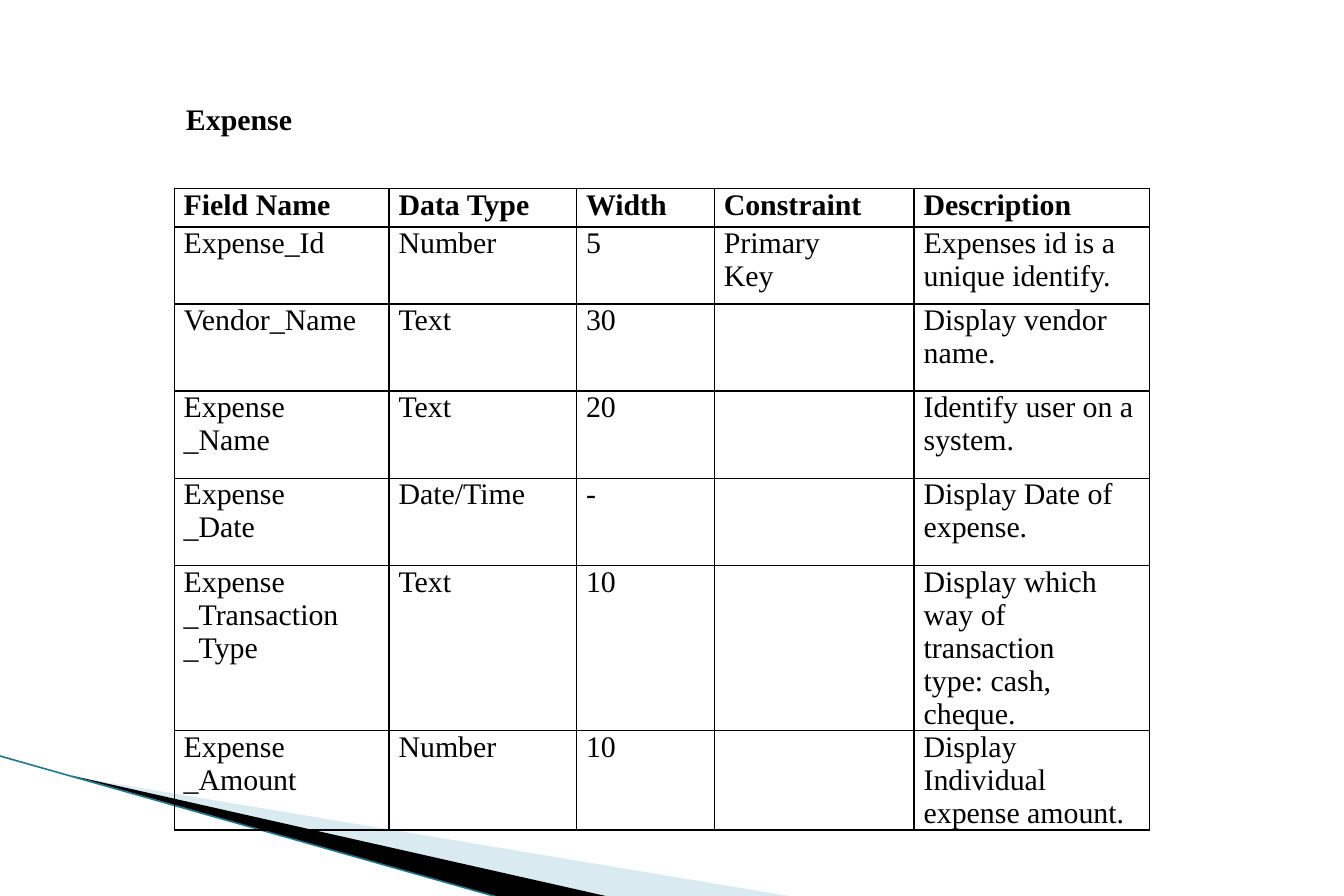
from dataclasses import dataclass

from lxml import etree
from pptx import Presentation
from pptx import util as u
from pptx.dml.color import RGBColor
from pptx.enum import text
from pptx.oxml import ns


@dataclass(frozen=True)
class Theme:
    font: str = "Times New Roman"
    size: float = 18
    ink: str = "000000"
    pale_wave: str = "A0CBDC"
    pale_opacity: int = 40
    edge: str = "1F768F"
    edge_width: float = 0.95
    border_width: float = 1
    cell_inset: float = 5.75


THEME = Theme()

COLUMN_WIDTHS = [129.5, 113, 83, 120.5, 142]
ROW_HEIGHTS = [23, 46.5, 52.5, 52.5, 52.5, 99.5, 59.5]
FIELDS = [
    ("Field Name", "Data Type", "Width", "Constraint", "Description"),
    ("Expense_Id", "Number", "5", "Primary\nKey", "Expenses id is a unique identify."),
    ("Vendor_Name", "Text", "30", "", "Display vendor name."),
    ("Expense\n_Name", "Text", "20", "", "Identify user on a system."),
    ("Expense\n_Date", "Date/Time", "-", "", "Display Date of expense."),
    ("Expense\n_Transaction\n_Type", "Text", "10", "",
     "Display which way of transaction\ntype: cash, cheque."),
    ("Expense\n_Amount", "Number", "10", "", "Display Individual expense amount."),
]


def write(frame, wording, bold=False, size=THEME.size, color=THEME.ink):
    """Fill a text frame, one paragraph to each line of the wording."""
    frame.text = wording
    for paragraph in frame.paragraphs:
        paragraph.alignment = text.PP_ALIGN.LEFT
        font = paragraph.font
        font.name, font.size, font.bold = THEME.font, u.Pt(size), bold
        font.color.rgb = RGBColor.from_string(color)
        for run in paragraph.runs:
            run.font.bold = bold
            run.font.color.rgb = RGBColor.from_string(color)


def border(cell):
    properties = cell._tc.get_or_add_tcPr()
    for position, side in enumerate(("lnL", "lnR", "lnT", "lnB")):
        line = etree.Element(ns.qn(f"a:{side}"), w=str(u.Pt(THEME.border_width)))
        fill = etree.SubElement(line, ns.qn("a:solidFill"))
        etree.SubElement(fill, ns.qn("a:srgbClr"), val=THEME.ink)
        properties.insert(position, line)


def wave(slide, points, color, opacity=100):
    (start_x, start_y), *others = [(u.Pt(x), u.Pt(y)) for x, y in points]
    builder = slide.shapes.build_freeform(start_x, start_y)
    builder.add_line_segments(others, close=True)
    shape = builder.convert_to_shape()
    shape.shadow.inherit = False
    shape.line.fill.background()
    shape.fill.solid()
    shape.fill.fore_color.rgb = RGBColor.from_string(color)
    if opacity < 100:
        tone = shape._element.spPr.find(".//" + ns.qn("a:srgbClr"))
        etree.SubElement(tone, ns.qn("a:alpha"), val=str(opacity * 1000))


def corner_waves(slide, left, top, width, height):
    """Draw the swoosh that runs from the left edge to the bottom edge."""
    right, bottom = left + width, top + height
    tip_x, tip_y = left + 44, top + 12
    inner, outer = left + 301.5, left + 370
    wave(slide, [(tip_x, tip_y + 0.5), (right, bottom), (outer, bottom)],
         THEME.pale_wave, THEME.pale_opacity)
    wave(slide, [(tip_x, tip_y), (outer, bottom), (inner, bottom)], THEME.ink)
    edge = slide.shapes.add_connector(
        1, u.Pt(left), u.Pt(top), u.Pt(inner), u.Pt(bottom))
    edge.line.color.rgb = RGBColor.from_string(THEME.edge)
    edge.line.width = u.Pt(THEME.edge_width)
    etree.SubElement(edge._element.spPr, ns.qn("a:effectLst"))


def field_table(slide, left, top, width, height):
    table = slide.shapes.add_table(
        len(FIELDS), len(COLUMN_WIDTHS),
        u.Pt(left), u.Pt(top), u.Pt(width), u.Pt(height)).table
    table.first_row = table.horz_banding = False
    for column, column_width in zip(table.columns, COLUMN_WIDTHS):
        column.width = u.Pt(column_width)
    for row_index, field in enumerate(FIELDS):
        table.rows[row_index].height = u.Pt(ROW_HEIGHTS[row_index])
        for cell, wording in zip(table.rows[row_index].cells, field):
            cell.margin_left = cell.margin_right = u.Pt(THEME.cell_inset)
            cell.margin_top = cell.margin_bottom = 0
            cell.fill.background()
            border(cell)
            write(cell.text_frame, wording, bold=row_index == 0)


def heading(slide, left, top, width, height):
    frame = slide.shapes.add_textbox(
        u.Pt(left), u.Pt(top), u.Pt(width), u.Pt(height)).text_frame
    frame.word_wrap = False
    frame.auto_size = text.MSO_AUTO_SIZE.SHAPE_TO_FIT_TEXT
    frame.vertical_anchor = text.MSO_ANCHOR.MIDDLE
    write(frame, "Expense", bold=True)


def main():
    deck = Presentation()
    deck.slide_width, deck.slide_height = u.Pt(810), u.Pt(540)
    slide = deck.slides.add_slide(deck.slide_layouts[6])
    corner_waves(slide, -0.5, 455.5, 482, 85.5)
    field_table(slide, 105, 113.75, sum(COLUMN_WIDTHS), sum(ROW_HEIGHTS))
    heading(slide, 105, 57, 79, 29)
    deck.save("out.pptx")


if __name__ == "__main__":
    main()
